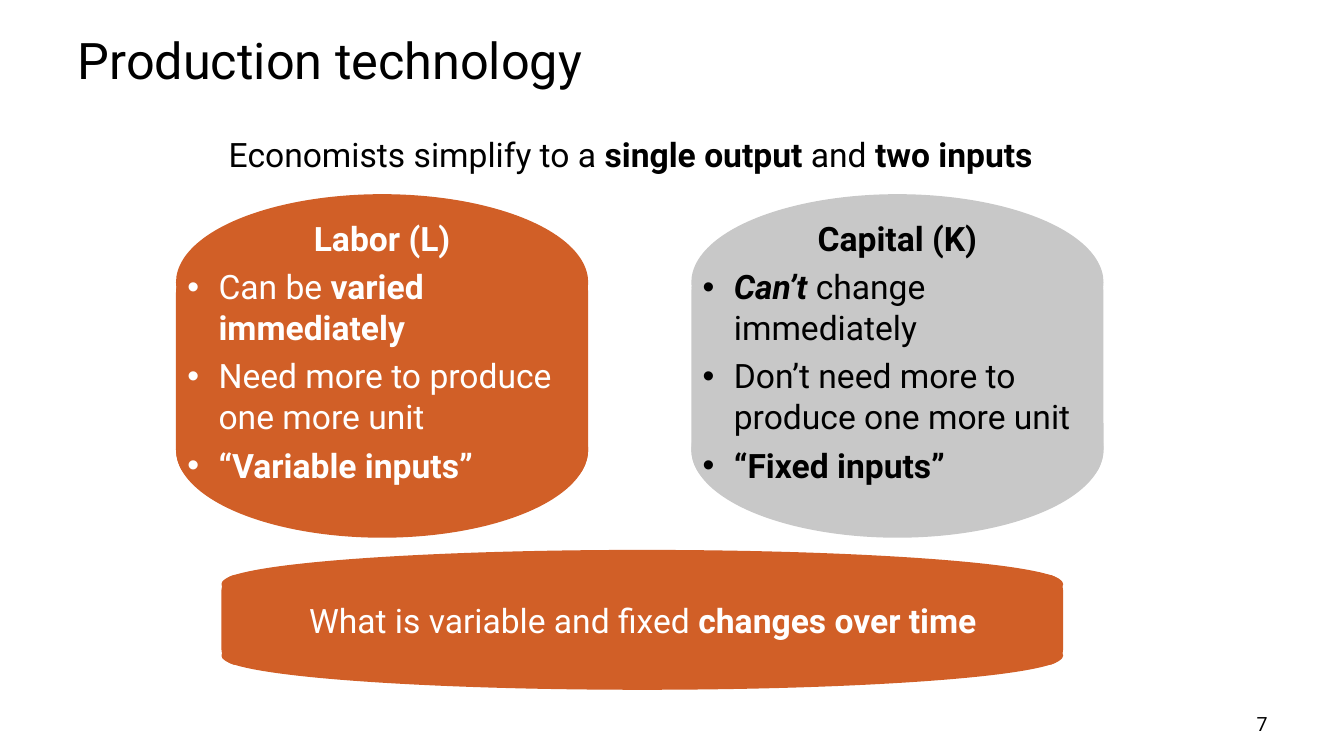
"""Builds the slide on production technology with its two inputs."""
from lxml import etree
from pptx import Presentation
from pptx.dml.color import RGBColor
from pptx.enum.shapes import MSO_SHAPE
from pptx.enum.text import MSO_ANCHOR, MSO_AUTO_SIZE, PP_ALIGN
from pptx.oxml.ns import qn
from pptx.util import Inches, Pt

ELLIPSE, ROUNDED = MSO_SHAPE.OVAL, MSO_SHAPE.ROUNDED_RECTANGLE
LEFT, CENTER, RIGHT = PP_ALIGN.LEFT, PP_ALIGN.CENTER, PP_ALIGN.RIGHT
TOP, MIDDLE = MSO_ANCHOR.TOP, MSO_ANCHOR.MIDDLE
COLORS = {"orange": "D15F27", "gray": "C8C8C8", "black": "000000", "white": "FFFFFF"}
FONT = "Roboto"
INDENT = Inches(0.31)
WIDTH, HEIGHT = Inches(13.33), Inches(7.5)

TITLE = [("Production technology", "")]
INTRO = [("Economists simplify to a ", ""), ("single output ", "b"),
         ("and ", ""), ("two inputs", "b")]
INPUTS = [
    {"left": 13.2, "fill": "orange", "ink": "white", "heading": [("Labor (L)", "b")],
     "points": [
         [("Can be ", ""), ("varied immediately", "b")],
         [("Need more to produce one more unit", "")],
         [("“Variable inputs”", "b")]]},
    {"left": 51.54, "fill": "gray", "ink": "black", "heading": [("Capital (K)", "b")],
     "points": [
         [("Can’t", "bi"), (" change immediately", "")],
         [("Don’t need more to produce one more unit", "")],
         [("“Fixed inputs”", "b")]]},
]
CONCLUSION = [("What is variable and fixed ", ""), ("changes over time", "b")]
PAGE = [("7", "")]

# Boxes are left, top, width and height in percent of the slide.
TITLE_BOX = (5.03, 3.07, 90.02, 9.47)
INTRO_BOX = (16.28, 17.07, 67.52, 6.67)
INPUT_TOP, INPUT_WIDTH, INPUT_HEIGHT = 25.87, 30.46, 45.07
POINTS_TOP, POINTS_HEIGHT = 28.13, 37.07
BANNER_BOX = (16.58, 72.93, 62.42, 18.13)
CONCLUSION_BOX = (20.63, 78.67, 54.39, 6.67)
PAGE_BOX = (71.72, 93.47, 23.33, 4.53)
INPUT_PARTS = [(ROUNDED, 0.17, 0.69), (ELLIPSE, 0, 0.51), (ELLIPSE, 0.49, 0.51)]
BANNER_PARTS = [(ROUNDED, 0.18, 0.64), (ELLIPSE, 0, 0.48), (ELLIPSE, 0.52, 0.48)]


def color(name):
    return RGBColor.from_string(COLORS[name])


def place(box):
    left, top, width, height = box
    return [round(share * side / 100) for share, side in
            ((left, WIDTH), (top, HEIGHT), (width, WIDTH), (height, HEIGHT))]


def barrel(slide, box, fill, parts):
    left, top, width, height = box
    group = slide.shapes.add_group_shape()
    for kind, offset, share in parts:
        piece = group.shapes.add_shape(
            kind, *place((left, top + offset * height, width, share * height)))
        piece.shadow.inherit = False
        piece.fill.solid()
        piece.fill.fore_color.rgb = color(fill)
        piece.line.color.rgb = color(fill)
        piece.line.width = Pt(2)


def write(frame, paragraphs, size=24, ink="black", align=LEFT, anchor=TOP, after=0):
    settings = {"word_wrap": True, "auto_size": MSO_AUTO_SIZE.NONE, "vertical_anchor": anchor}
    for name, value in settings.items():
        setattr(frame, name, value)
    for index, runs in enumerate(paragraphs):
        paragraph = frame.paragraphs[0] if index == 0 else frame.add_paragraph()
        paragraph.alignment = align if index == 0 else LEFT
        paragraph.space_before, paragraph.space_after = Pt(0), Pt(after)
        if index:
            properties = paragraph._p.get_or_add_pPr()
            properties.set("marL", str(INDENT))
            properties.set("indent", str(-INDENT))
            etree.SubElement(properties, qn("a:buFont")).set("typeface", "Arial")
            etree.SubElement(properties, qn("a:buChar")).set("char", "•")
        for text, style in runs:
            run = paragraph.add_run()
            run.text = text
            look = {"name": FONT, "size": Pt(size), "bold": "b" in style, "italic": "i" in style}
            for name, value in look.items():
                setattr(run.font, name, value)
            run.font.color.rgb = color(ink)


def label(slide, box, paragraphs, **look):
    write(slide.shapes.add_textbox(*place(box)).text_frame, paragraphs, **look)


def main():
    deck = Presentation()
    deck.slide_width, deck.slide_height = WIDTH, HEIGHT
    slide = deck.slides.add_slide(deck.slide_layouts[5])
    title = slide.shapes.title
    title.left, title.top, title.width, title.height = place(TITLE_BOX)
    write(title.text_frame, [TITLE], size=36, anchor=MIDDLE)
    label(slide, PAGE_BOX, [PAGE], size=14, align=RIGHT)
    label(slide, INTRO_BOX, [INTRO])
    for item in INPUTS:
        barrel(slide, (item["left"], INPUT_TOP, INPUT_WIDTH, INPUT_HEIGHT),
               item["fill"], INPUT_PARTS)
        label(slide, (item["left"], POINTS_TOP, INPUT_WIDTH, POINTS_HEIGHT),
              [item["heading"], *item["points"]], ink=item["ink"], align=CENTER, after=6)
    barrel(slide, BANNER_BOX, "orange", BANNER_PARTS)
    label(slide, CONCLUSION_BOX, [CONCLUSION], ink="white", align=CENTER, anchor=MIDDLE)
    deck.save("out.pptx")


if __name__ == "__main__":
    main()
